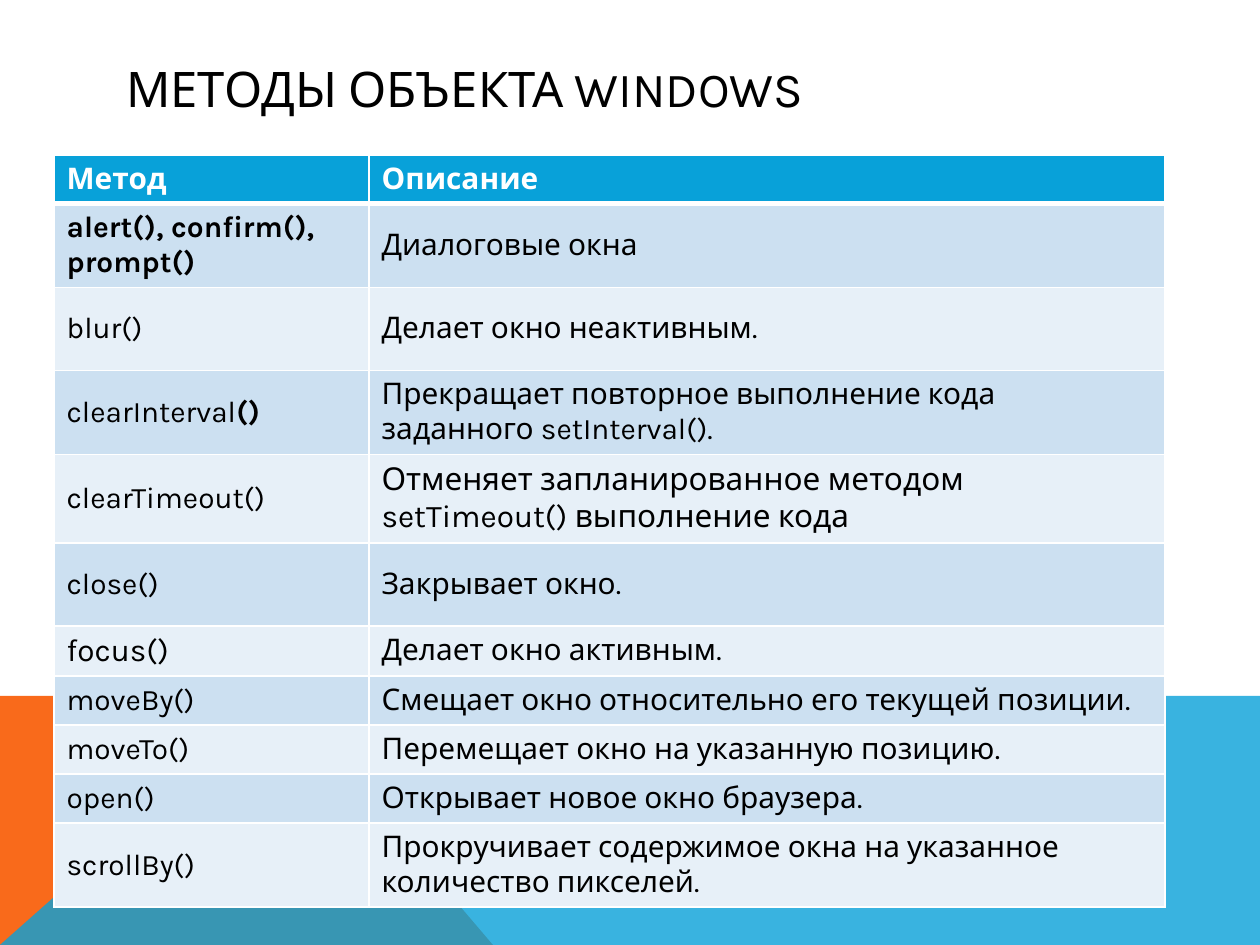
from lxml.etree import SubElement
from pptx import Presentation
from pptx.dml.color import RGBColor
from pptx.enum.text import MSO_ANCHOR
from pptx.oxml import parse_xml
from pptx.oxml.ns import nsdecls, qn
from pptx.util import Pt

SCALE = 914400 // 126
FONT = "Karla"
BLACK = RGBColor(0x00, 0x00, 0x00)
WHITE = RGBColor(0xFF, 0xFF, 0xFF)
ORANGE = RGBColor(0xF9, 0x6A, 0x1B)
BLUE = RGBColor(0x08, 0xA1, 0xD9)
BANDS = (RGBColor(0xCC, 0xE0, 0xF1), RGBColor(0xE7, 0xF0, 0xF8))

HEADER_HEIGHT, SINGLE, TALL = 48, 49, 83
HEADER = ("Метод", "Описание")
METHODS = [
    (TALL, "alert(), confirm(), prompt()", "Диалоговые окна"),
    (TALL, "blur()", "Делает окно неактивным."),
    (TALL, "clearInterval()",
     "Прекращает повторное выполнение кода заданного setInterval()."),
    (TALL, "clearTimeout()",
     "Отменяет запланированное методом setTimeout() выполнение кода"),
    (TALL, "close()", "Закрывает окно."),
    (SINGLE, "focus()", "Делает окно активным."),
    (SINGLE, "moveBy()", "Смещает окно относительно его текущей позиции."),
    (SINGLE, "moveTo()", "Перемещает окно на указанную позицию."),
    (SINGLE, "open()", "Открывает новое окно браузера."),
    (TALL, "scrollBy()",
     "Прокручивает содержимое окна на указанное количество пикселей."),
]
LARGE_CELLS = {(4, 1), (6, 0)}
BOLD_CELLS = {(0, 0), (0, 1), (1, 0)}
BOLD_BRACKETS_CELL = (3, 0)


class SlideBuilder:
    """Holds the style and the current slide and draws each kind of element."""

    def __init__(self, page):
        self.page = page

    def style(self, span, size, color=BLACK, bold=False):
        span.font.name = FONT
        span.font.size = Pt(size)
        span.font.bold = bold
        span.font.color.rgb = color

    def polygon(self, points, color, opacity=100):
        corners = [(x * SCALE, y * SCALE) for x, y in points]
        builder = self.page.shapes.build_freeform(*corners[0])
        builder.add_line_segments(corners[1:], close=True)
        shape = builder.convert_to_shape()
        shape.shadow.inherit = False
        shape.fill.solid()
        shape.fill.fore_color.rgb = color
        shape.line.fill.background()
        if opacity < 100:
            tint = shape._element.spPr.find(qn("a:solidFill"))[0]
            SubElement(tint, qn("a:alpha"), val=str(opacity * 1000))

    def text(self, left, top, width, height, words, size):
        box = self.page.shapes.add_textbox(
            *(length * SCALE for length in (left, top, width, height)))
        frame = box.text_frame
        frame.word_wrap = True
        frame.vertical_anchor = MSO_ANCHOR.MIDDLE
        frame.text = words
        self.style(frame.paragraphs[0].runs[0], size)

    def borders(self, cell, top, bottom):
        properties = cell._tc.get_or_add_tcPr()
        widths = {"lnL": 1, "lnR": 1, "lnT": top, "lnB": bottom}
        for index, (side, width) in enumerate(widths.items()):
            properties.insert(index, parse_xml(
                f'<a:{side} {nsdecls("a")} w="{Pt(width)}"><a:solidFill>'
                f'<a:srgbClr val="{WHITE}"/></a:solidFill></a:{side}>'))

    def cell(self, cell, row, column, words):
        cell.fill.solid()
        cell.fill.fore_color.rgb = BANDS[(row - 1) % 2] if row else BLUE
        cell.vertical_anchor = MSO_ANCHOR.MIDDLE
        place = (row, column)
        para = cell.text_frame.paragraphs[0]
        if place == BOLD_BRACKETS_CELL:
            para.text = words.removesuffix("()")
            para.add_run().text = "()"
        else:
            para.text = words
        size = 18 if place in LARGE_CELLS else 17
        for index, span in enumerate(para.runs):
            self.style(span, size, BLACK if row else WHITE,
                       place in BOLD_CELLS or index > 0)
        self.borders(cell, 3 if row == 1 else 1, 1 if row else 3)

    def table(self, left, top, widths, heights, rows):
        table = self.page.shapes.add_table(
            len(rows), len(widths), left * SCALE, top * SCALE,
            sum(widths) * SCALE, sum(heights) * SCALE).table
        table.first_row = table.horz_banding = False
        for column, width in zip(table.columns, widths):
            column.width = width * SCALE
        for line, height in zip(table.rows, heights):
            line.height = height * SCALE
        for row, texts in enumerate(rows):
            for column, words in enumerate(texts):
                self.cell(table.cell(row, column), row, column, words)


def main():
    deck = Presentation()
    deck.slide_width, deck.slide_height = 1260 * SCALE, 945 * SCALE
    slide = SlideBuilder(deck.slides.add_slide(deck.slide_layouts[6]))
    slide.polygon([(0, 945), (0, 696), (281, 696), (493, 945)], ORANGE)
    slide.polygon([(0, 945), (281, 696), (1260, 696), (1260, 945)], BLUE, 80)
    slide.text(114, 50, 1036, 76, "МЕТОДЫ ОБЪЕКТА WINDOWS", 28)
    slide.table(54, 155, (315, 796),
                [HEADER_HEIGHT] + [method[0] for method in METHODS],
                [HEADER] + [method[1:] for method in METHODS])
    deck.save("out.pptx")


if __name__ == "__main__":
    main()
